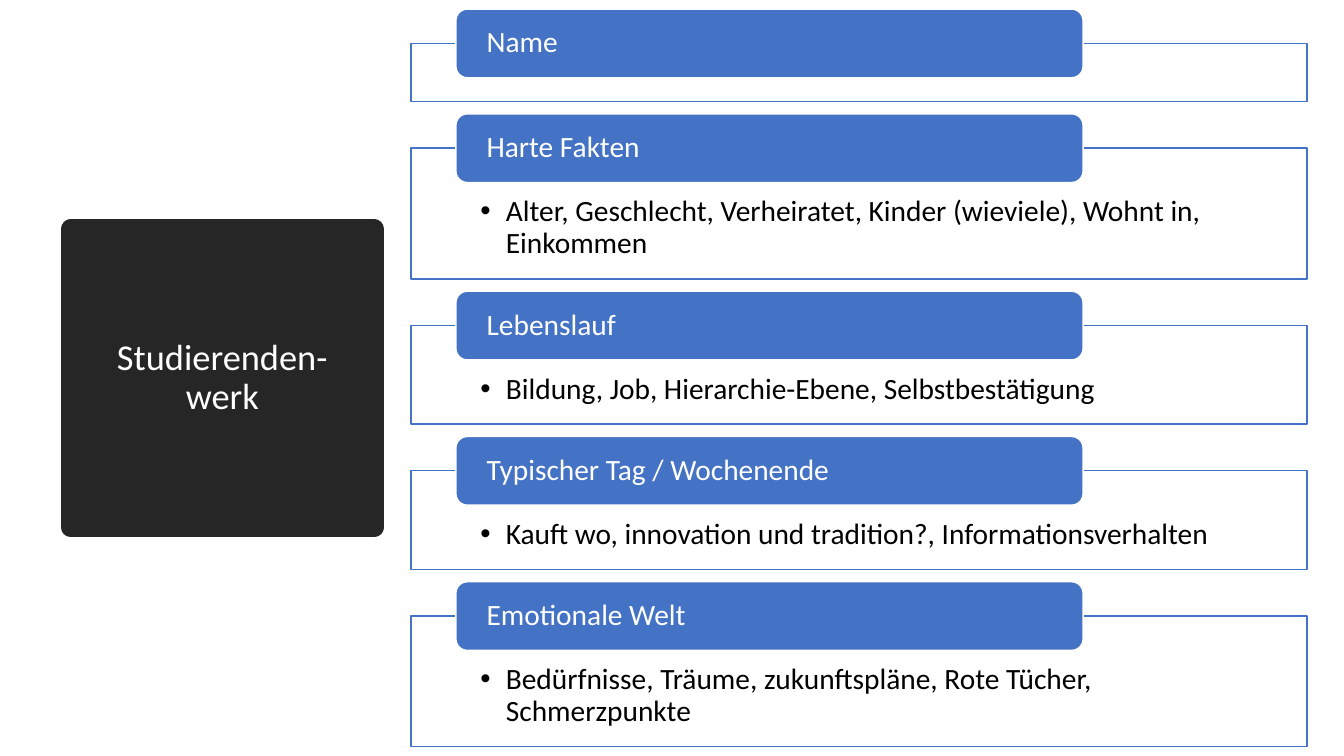
from pptx import Presentation
from pptx.dml.color import RGBColor
from pptx.enum.shapes import MSO_SHAPE
from pptx.enum.text import MSO_ANCHOR, MSO_AUTO_SIZE, PP_ALIGN
from pptx.oxml.ns import qn
from pptx.util import Cm, Pt
from lxml.etree import SubElement

WHITE = RGBColor(0xFF, 0xFF, 0xFF)
BLACK = RGBColor(0x00, 0x00, 0x00)
BLUE = RGBColor(0x44, 0x72, 0xC4)
DARK = RGBColor(0x26, 0x26, 0x26)

FRAME_GAP = 1.17
SECTIONS = [
    ("Name", "", 1.47),
    ("Harte Fakten", "Alter, Geschlecht, Verheiratet, Kinder (wieviele), Wohnt in, Einkommen", 3.3),
    ("Lebenslauf", "Bildung, Job, Hierarchie-Ebene, Selbstbestätigung", 2.49),
    ("Typischer Tag / Wochenende", "Kauft wo, innovation und tradition?, Informationsverhalten", 2.49),
    ("Emotionale Welt", "Bedürfnisse, Träume, zukunftspläne, Rote Tücher, Schmerzpunkte", 3.3),
]


def set_attributes(target, values):
    """Set every attribute named in a dict of format values."""
    for name, value in values.items():
        setattr(target, name, value)


def paint(shape, fill, line, width):
    """Give a shape its solid fill and its outline."""
    shape.fill.solid()
    shape.fill.fore_color.rgb = fill
    shape.line.color.rgb = line
    shape.line.width = Pt(width)


def write(shape, text, size, color, align, anchor, insets):
    """Write one paragraph into a shape and return it."""
    left, top, right, bottom = map(Cm, insets)
    set_attributes(shape.text_frame, {
        "word_wrap": True, "auto_size": MSO_AUTO_SIZE.NONE, "vertical_anchor": anchor,
        "margin_left": left, "margin_top": top, "margin_right": right, "margin_bottom": bottom,
    })
    para = shape.text_frame.paragraphs[0]
    set_attributes(para, {"alignment": align, "line_spacing": 0.9})
    span = para.add_run()
    span.text = text
    set_attributes(span.font, {"size": Pt(size), "name": "Calibri"})
    span.font.color.rgb = color
    return para


def add_bullet(para):
    """Give a paragraph a hanging round bullet."""
    properties = para._p.get_or_add_pPr()
    properties.set("marL", str(Cm(0.64)))
    properties.set("indent", str(-Cm(0.64)))
    SubElement(properties, qn("a:buFont"), typeface="Arial")
    SubElement(properties, qn("a:buChar"), char="•")


def place_title(page, left, top, width, height):
    """Place the title as a dark block with a thick rounded outline."""
    title = page.shapes.title
    set_attributes(title, {"left": Cm(left), "top": Cm(top), "width": Cm(width), "height": Cm(height)})
    paint(title, DARK, DARK, 13.75)
    write(title, "Studierenden-werk", 26, WHITE, PP_ALIGN.CENTER, MSO_ANCHOR.MIDDLE, (0.5, 0.13, 0.5, 0.13))


def add_section(page, left, top, width, height, heading, details):
    """Add an outlined frame with its details and a heading on its upper edge."""
    frame = page.shapes.add_shape(MSO_SHAPE.RECTANGLE, Cm(left), Cm(top), Cm(width), Cm(height))
    frame.shadow.inherit = False
    paint(frame, WHITE, BLUE, 1)
    fill_color = frame.fill._xPr.find(qn("a:solidFill"))[0]
    SubElement(fill_color, qn("a:alpha"), val="90000")
    if details:
        add_bullet(write(frame, details, 21, BLACK, PP_ALIGN.LEFT, MSO_ANCHOR.TOP, (1.75, 1.22, 1.75, 0.41)))
    label = page.shapes.add_shape(
        MSO_SHAPE.ROUNDED_RECTANGLE, Cm(left + 1.13), Cm(top - 0.86), Cm(width * 0.7), Cm(1.73))
    label.shadow.inherit = False
    paint(label, BLUE, WHITE, 1)
    write(label, heading, 21, WHITE, PP_ALIGN.LEFT, MSO_ANCHOR.MIDDLE, (0.69, 0, 0.69, 0))


def add_section_list(page, left, top, width):
    """Stack all sections downwards with equal gaps."""
    for heading, details, height in SECTIONS:
        add_section(page, left, top, width, height, heading, details)
        top += height + FRAME_GAP


def main():
    """Build the persona slide and save it."""
    deck = Presentation()
    set_attributes(deck, {"slide_width": Cm(33.87), "slide_height": Cm(19.05)})
    page = deck.slides.add_slide(deck.slide_layouts.get_by_name("Title Only"))
    place_title(page, 1.78, 5.77, 7.65, 7.52)
    add_section_list(page, 10.36, 1.09, 22.58)
    deck.save("out.pptx")


if __name__ == "__main__":
    main()
